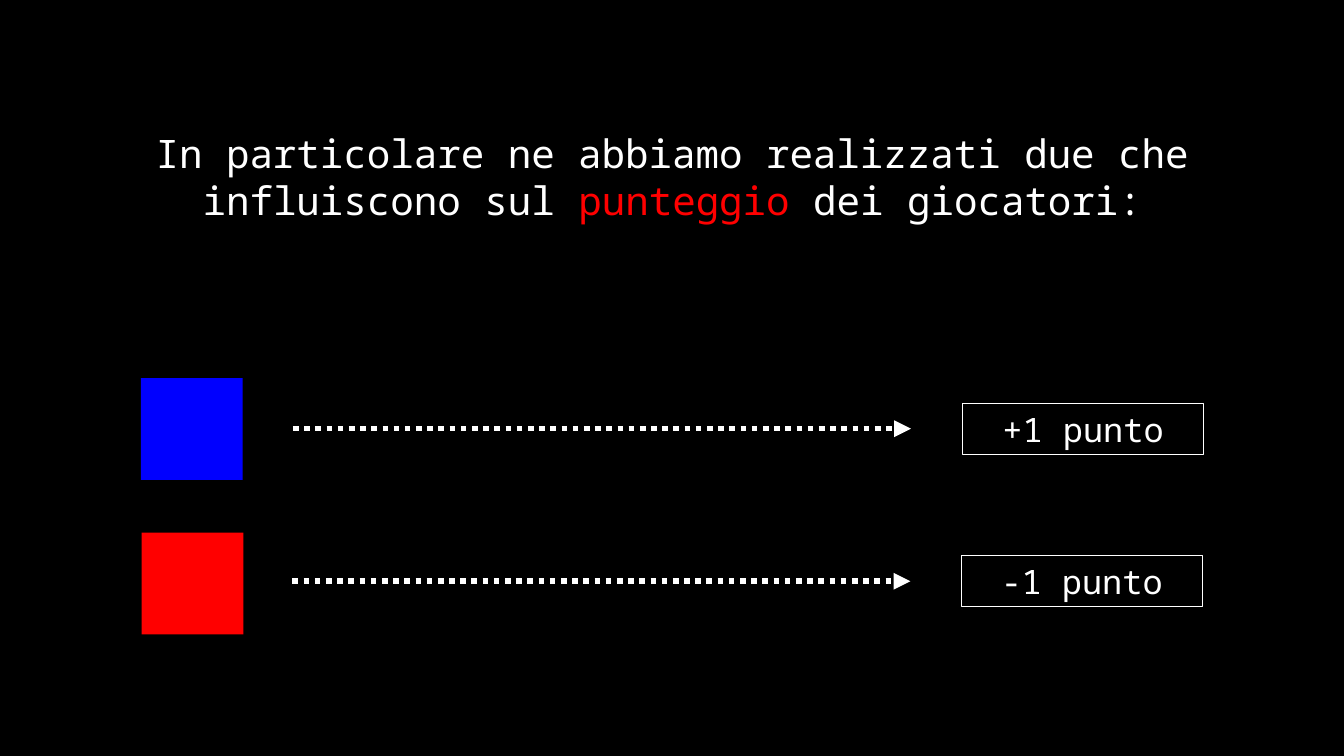
from dataclasses import dataclass

from lxml.etree import SubElement
from pptx import Presentation
from pptx.dml.color import RGBColor
from pptx.enum.dml import MSO_LINE
from pptx.enum.shapes import MSO_CONNECTOR, MSO_SHAPE
from pptx.enum.text import MSO_ANCHOR, PP_ALIGN
from pptx.oxml.ns import qn
from pptx.shapes.autoshape import Shape
from pptx.slide import Slide
from pptx.text.text import TextFrame
from pptx.util import Pt

COLORS = {"black": "000000", "white": "FFFFFF", "blue": "0000FF", "red": "FF0000"}
FONT = "Noto Sans Mono"
SQUARE = 72.7
BOX_W, BOX_H = 172, 36.3


@dataclass
class Bonus:
    color: str
    label: str
    square_x: float
    square_y: float
    arrow_x: float
    box_x: float
    mid_y: float


BONUSES = [
    Bonus("blue", "+1 punto", 100.6, 270, 209.3, 687.6, 306.2),
    Bonus("red", "-1 punto", 101.1, 380.4, 208.9, 686.9, 415.2),
]


def rgb(name: str) -> RGBColor:
    return RGBColor.from_string(COLORS[name])


def write(tf: TextFrame, *runs: tuple[str, str], size: float,
          anchor: MSO_ANCHOR = MSO_ANCHOR.TOP) -> None:
    """Fill the frame with one centred paragraph of (text, colour) runs."""
    tf.word_wrap = True
    tf.vertical_anchor = anchor
    p = tf.paragraphs[0]
    p.alignment = PP_ALIGN.CENTER
    for text, color in runs:
        r = p.add_run()
        r.text = text
        r.font.name = FONT
        r.font.size = Pt(size)
        r.font.color.rgb = rgb(color)


def add_rect(s: Slide, x: float, y: float, w: float, h: float,
             fill: str | None = None, line: str | None = None) -> Shape:
    sp = s.shapes.add_shape(MSO_SHAPE.RECTANGLE, Pt(x), Pt(y), Pt(w), Pt(h))
    sp.shadow.inherit = False
    if fill:
        sp.fill.solid()
        sp.fill.fore_color.rgb = rgb(fill)
    else:
        sp.fill.background()
    if line:
        sp.line.color.rgb = rgb(line)
        sp.line.width = Pt(0.75)
    else:
        sp.line.fill.background()
    return sp


def add_dotted_arrow(s: Slide, x: float, y: float, length: float) -> None:
    cx = s.shapes.add_connector(MSO_CONNECTOR.STRAIGHT, Pt(x), Pt(y), Pt(x + length), Pt(y))
    cx.line.color.rgb = rgb("white")
    cx.line.width = Pt(4)
    cx.line.dash_style = MSO_LINE.ROUND_DOT
    SubElement(cx.line._get_or_add_ln(), qn("a:tailEnd"), type="triangle")
    SubElement(cx._element.spPr, qn("a:effectLst"))


def add_bonus(s: Slide, b: Bonus) -> None:
    add_rect(s, b.square_x, b.square_y, SQUARE, SQUARE, fill=b.color)
    add_dotted_arrow(s, b.arrow_x, b.mid_y, 441.4)
    box = add_rect(s, b.box_x, b.mid_y - BOX_H / 2, BOX_W, BOX_H, line="white")
    write(box.text_frame, (b.label, "white"), size=24, anchor=MSO_ANCHOR.MIDDLE)


def main() -> None:
    prs = Presentation()
    prs.slide_width, prs.slide_height = Pt(960), Pt(540)
    s = prs.slides.add_slide(prs.slide_layouts[6])
    s.background.fill.solid()
    s.background.fill.fore_color.rgb = rgb("black")

    title = s.shapes.add_textbox(Pt(71.3), Pt(88.6), Pt(817.9), Pt(108.7))
    write(title.text_frame,
          ("In particolare ne abbiamo realizzati due che influiscono sul ", "white"),
          ("punteggio", "red"),
          (" dei giocatori:", "white"),
          size=28)
    for bonus in BONUSES:
        add_bonus(s, bonus)
    prs.save("out.pptx")


if __name__ == "__main__":
    main()
